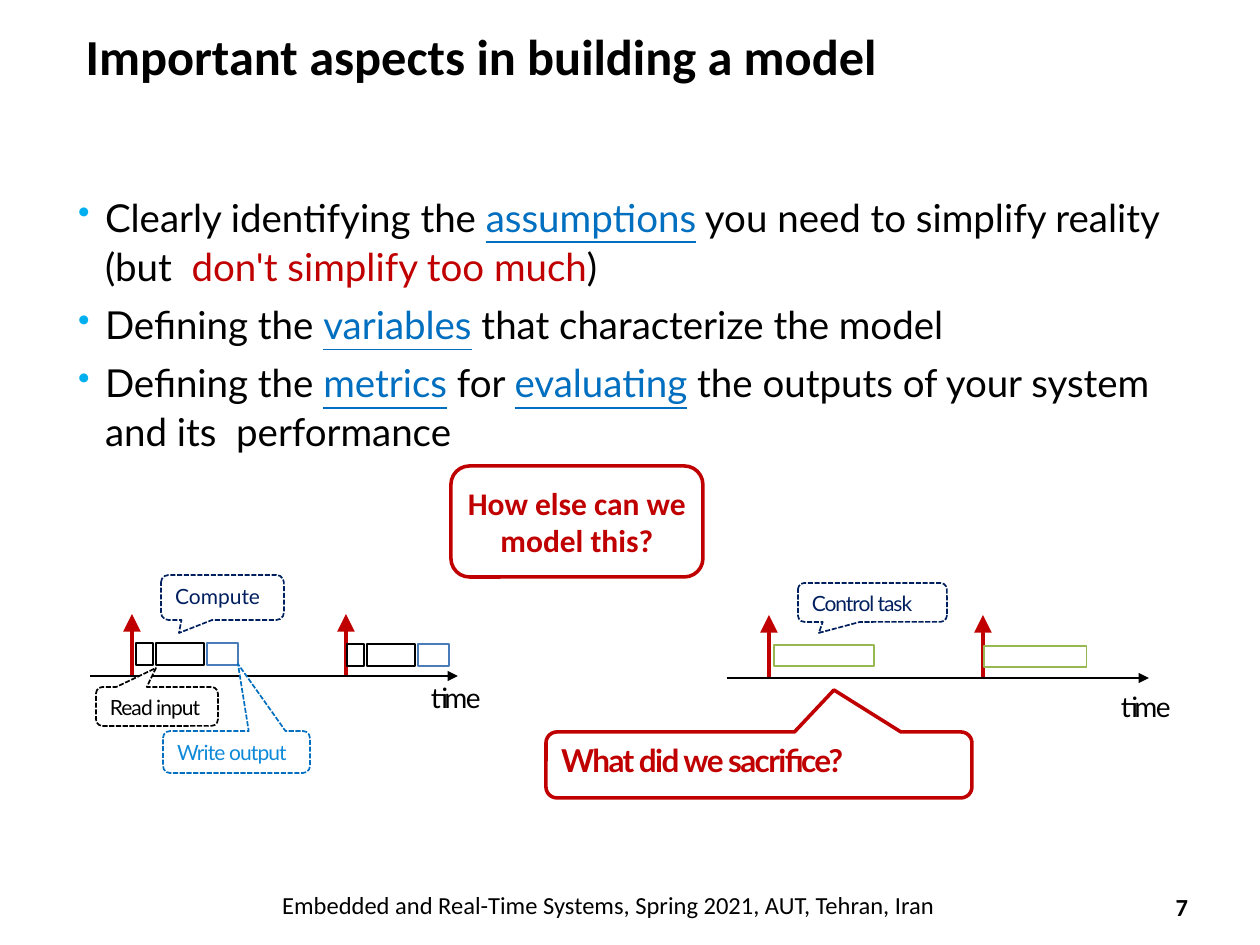
"""Build the slide on important aspects in building a model."""
from lxml import etree
from pptx import Presentation
from pptx import util as u
from pptx.dml.color import RGBColor
from pptx.enum import dml, shapes, text
from pptx.oxml.ns import qn

PX = 7257
BLACK, RED, BLUE, NAVY = "000000", "C00000", "006FC0", "001F5F"


def rgb(value):
    return RGBColor.from_string(value)


def write(p, words, color, size, name="Lato", spc=0, **fmt):
    r = p.add_run()
    r.text = words
    for key, value in dict(fmt, size=u.Pt(size), name=name).items():
        setattr(r.font, key, value)
    r.font.color.rgb = rgb(color)
    if spc:
        r.font._element.set("spc", str(spc))


prs = Presentation()
prs.slide_width, prs.slide_height = u.Inches(10), u.Inches(7.5)
s = prs.slides.add_slide(prs.slide_layouts[5])

title = s.shapes.title
title.left, title.top, title.width, title.height = [v * PX for v in (73, 21, 872, 69)]
title.text_frame.vertical_anchor = text.MSO_ANCHOR.MIDDLE
p = title.text_frame.paragraphs[0]
p.alignment = text.PP_ALIGN.LEFT
write(p, "Important aspects in building a model", BLACK, 28.8, "Calibri", bold=True)

captions = [
    ("7", (1145, 882, 74, 50), text.PP_ALIGN.CENTER, dict(size=14, name="Calibri", bold=True)),
    ("Embedded and Real-Time Systems, Spring 2021, AUT, Tehran, Iran",
     (136, 883, 945, 43), text.PP_ALIGN.CENTER, dict(size=14, name="Calibri")),
    ("time", (431, 679, 55, 37), text.PP_ALIGN.LEFT, dict(size=16, spc=-90)),
    ("time", (1121, 688, 55, 37), text.PP_ALIGN.LEFT, dict(size=16, spc=-90)),
]
for words, box, align, fmt in captions:
    tf = s.shapes.add_textbox(*[v * PX for v in box]).text_frame
    tf.word_wrap = True
    tf.margin_left = tf.margin_right = tf.margin_top = tf.margin_bottom = 0
    tf.vertical_anchor = text.MSO_ANCHOR.MIDDLE
    p = tf.paragraphs[0]
    p.alignment = align
    write(p, words, BLACK, **fmt)

bullets = [
    (1.06, 0, [("Clearly identifying the ", BLACK), ("assumptions", BLUE),
               (" you need to simplify reality (but ", BLACK),
               (" don't simplify too much", RED), (")", BLACK)]),
    (1.0, 7, [("Defining the ", BLACK), ("variables", BLUE),
              (" that characterize the model", BLACK)]),
    (1.06, 5.3, [("Defining the ", BLACK), ("metrics", BLUE), (" for ", BLACK),
                 ("evaluating", BLUE),
                 (" the outputs of your system and its  performance", BLACK)]),
]
tf = s.shapes.add_textbox(*[v * PX for v in (76, 188, 1116, 267)]).text_frame
tf.word_wrap = True
tf.margin_left = tf.margin_right = tf.margin_bottom = 0
tf.margin_top = 3 * PX
for i, (spacing, before, runs) in enumerate(bullets):
    p = tf.add_paragraph() if i else tf.paragraphs[0]
    pPr = p._p.get_or_add_pPr()
    pPr.set("marL", str(29 * PX))
    pPr.set("indent", str(-27 * PX))
    hue = etree.SubElement(pPr, qn("a:buClr"))
    etree.SubElement(hue, qn("a:srgbClr"), val="00AFEF")
    etree.SubElement(pPr, qn("a:buSzPct"), val="89000")
    etree.SubElement(pPr, qn("a:buChar"), char="•")
    p.line_spacing = spacing
    p.space_before = u.Pt(before)
    for words, color in runs:
        write(p, words, color, 22, underline=color == BLUE)

arrows = [
    ((132, 676, 132, 614), RED, 2, "lg"),
    ((346, 676, 346, 614), RED, 2, "lg"),
    ((769, 678, 769, 615), RED, 2, "lg"),
    ((983, 678, 983, 615), RED, 2, "lg"),
    ((90, 676, 458, 676), BLACK, 1.25, "med"),
    ((727, 678, 1149, 678), BLACK, 1.25, "med"),
]
for ends, color, width, head in arrows:
    c = s.shapes.add_connector(shapes.MSO_CONNECTOR.STRAIGHT, *[v * PX for v in ends])
    c.line.color.rgb = rgb(color)
    c.line.width = u.Pt(width)
    etree.SubElement(c.line._get_or_add_ln(), qn("a:tailEnd"), type="triangle", w=head, len=head)
    etree.SubElement(c._element.spPr, qn("a:effectLst"))

jobs = [((774, 645, 100, 21), "97B853"), ((984, 646, 103, 21), "97B853")]
for left, top in ((136, 643), (347, 644)):
    for dx, width, color in ((0, 17, BLACK), (20, 48, BLACK), (71, 31, "497DBA")):
        jobs.append(((left + dx, top, width, 22), color))
for box, color in jobs:
    sp = s.shapes.add_shape(shapes.MSO_SHAPE.RECTANGLE, *[v * PX for v in box])
    sp.shadow.inherit = False
    sp.fill.background()
    sp.line.color.rgb = rgb(color)
    sp.line.width = u.Pt(0.72)

callouts = [
    ("Read input", (96, 687, 122, 39), (156, 668), BLACK, BLACK, True, dict(size=12, spc=-55)),
    ("Compute", (161, 575, 123, 45), (179, 633), NAVY, NAVY, False, dict(size=12)),
    ("Write output", (163, 731, 147, 42), (238, 664), BLUE, "0F8AD9", True,
     dict(size=12, spc=-50)),
    ("Control task", (798, 583, 149, 39), (819, 633), NAVY, NAVY, False, dict(size=12, spc=-60)),
    ("What did we sacrifice?", (546, 732, 426, 66), (834, 690), RED, RED, False,
     dict(size=18, spc=-90, bold=True)),
    ("How else can we model this?", (451, 466, 252, 111), None, RED, RED, False,
     dict(size=18, name="Calibri", bold=True)),
]
for words, box, tip, border, color, filled, fmt in callouts:
    x, y, w, h = box
    kind = shapes.MSO_SHAPE.ROUNDED_RECTANGULAR_CALLOUT if tip else shapes.MSO_SHAPE.ROUNDED_RECTANGLE
    sp = s.shapes.add_shape(kind, *[v * PX for v in box])
    sp.shadow.inherit = False
    if filled:
        sp.fill.solid()
        sp.fill.fore_color.rgb = rgb("FFFFFF")
    else:
        sp.fill.background()
    sp.line.color.rgb = rgb(border)
    sp.line.width = u.Pt(2.04 if border == RED else 0.96)
    if border != RED:
        sp.line.dash_style = dml.MSO_LINE.SQUARE_DOT
    tf = sp.text_frame
    tf.word_wrap = True
    tf.margin_left = tf.margin_right = tf.margin_top = tf.margin_bottom = 0
    p = tf.paragraphs[0]
    if tip:
        sp.adjustments[0] = (tip[0] - x - w / 2) / w
        sp.adjustments[1] = (tip[1] - y - h / 2) / h
        tf.margin_left, tf.margin_top = 12 * PX, 6 * PX
        tf.vertical_anchor = text.MSO_ANCHOR.TOP
        p.alignment = text.PP_ALIGN.LEFT
    else:
        tf.vertical_anchor = text.MSO_ANCHOR.MIDDLE
        p.alignment = text.PP_ALIGN.CENTER
    write(p, words, color, **fmt)

prs.save("out.pptx")
